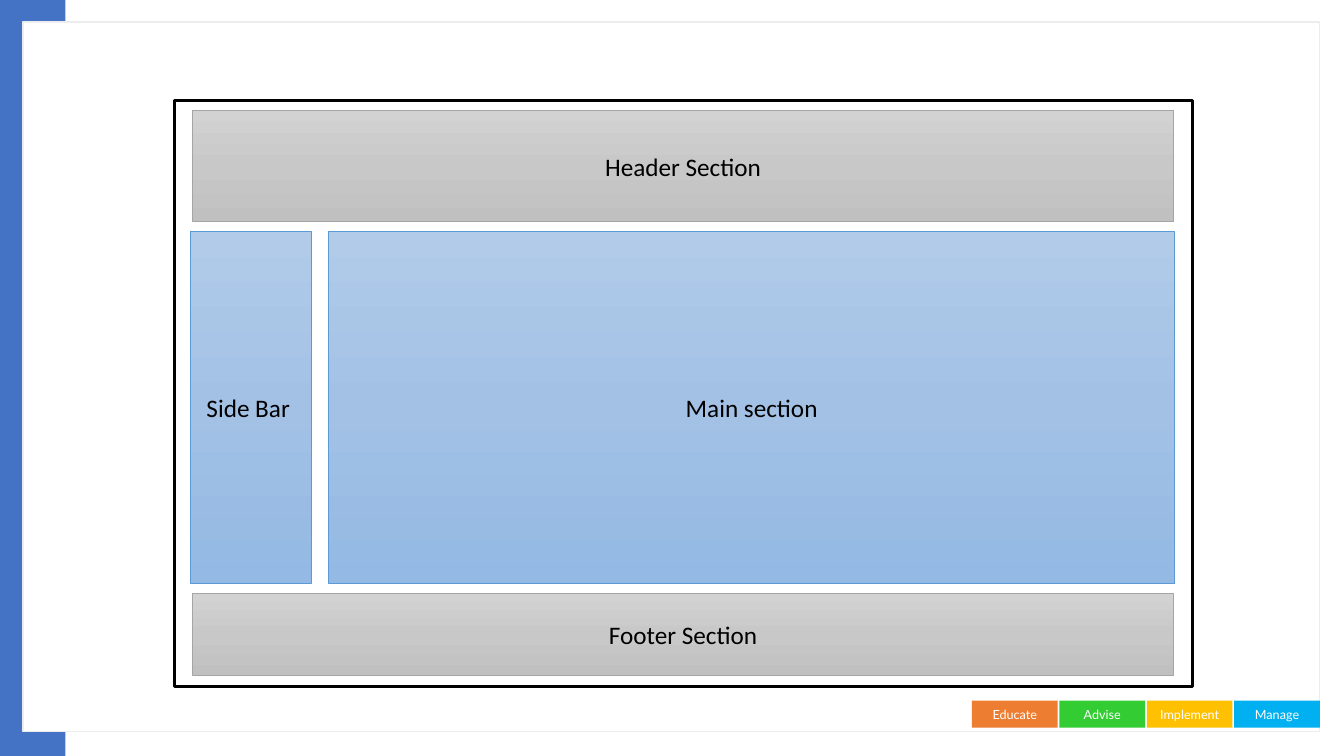
from copy import deepcopy

from pptx import Presentation
from pptx.dml.color import RGBColor
from pptx.enum import shapes, text
from pptx.oxml.ns import qn
from pptx.util import Inches, Pt

WHITE = RGBColor(0xFF, 0xFF, 0xFF)
BLACK = RGBColor(0x00, 0x00, 0x00)
BAND_BLUE = RGBColor(0x44, 0x72, 0xC4)
PANEL_EDGE = RGBColor(0xED, 0xED, 0xED)
GRAY_EDGE = RGBColor(0xA5, 0xA5, 0xA5)
BLUE_EDGE = RGBColor(0x5B, 0x9B, 0xD5)
GRAYS = (RGBColor(0xD2, 0xD2, 0xD2), RGBColor(0xC8, 0xC8, 0xC8), RGBColor(0xC0, 0xC0, 0xC0))
BLUES = (RGBColor(0xB1, 0xCB, 0xE9), RGBColor(0xA3, 0xC1, 0xE5), RGBColor(0x93, 0xB9, 0xE4))

TAGS = (
    ("Educate", RGBColor(0xED, 0x7D, 0x31)),
    ("Advise", RGBColor(0x33, 0xCC, 0x33)),
    ("Implement", RGBColor(0xFF, 0xC0, 0x00)),
    ("Manage", RGBColor(0x00, 0xB0, 0xF0)),
)
TAG_LEFT, TAG_STEP = 9.64, 0.867

SECTIONS = (
    ("Header Section", (1.91, 1.1, 9.73, 1.1), GRAYS, GRAY_EDGE),
    ("Main section", (3.26, 2.3, 8.39, 3.49), BLUES, BLUE_EDGE),
    ("Side Bar ", (1.89, 2.3, 1.2, 3.49), BLUES, BLUE_EDGE),
    ("Footer Section", (1.91, 5.89, 9.73, 0.81), GRAYS, GRAY_EDGE),
)


def add_box(parent, place, fill=WHITE, edge=None, weight=1):
    """Add a flat rectangle, with an outline if an edge colour is given."""
    box = parent.shapes.add_shape(shapes.MSO_SHAPE.RECTANGLE, *map(Inches, place))
    box.shadow.inherit = False
    box.fill.solid()
    box.fill.fore_color.rgb = fill
    if edge is None:
        box.line.fill.background()
    else:
        box.line.color.rgb = edge
        box.line.width = Pt(weight)
    return box


def add_label(box, words, size, font, color):
    """Write one centred line of text in a box."""
    frame = box.text_frame
    frame.word_wrap = True
    frame.vertical_anchor = text.MSO_ANCHOR.MIDDLE
    para = frame.paragraphs[0]
    para.alignment = text.PP_ALIGN.CENTER
    span = para.add_run()
    span.text = words
    span.font.size = Pt(size)
    span.font.name = font
    span.font.color.rgb = color


def shade(box, colors):
    """Fill a box from top to bottom with three evenly spaced colours."""
    box.fill.gradient()
    box.fill.gradient_angle = 270
    stop_list = box._element.spPr.find(qn("a:gradFill")).find(qn("a:gsLst"))
    stop_list.insert(1, deepcopy(stop_list[0]))
    for index, (stop, color) in enumerate(zip(box.fill.gradient_stops, colors)):
        stop.position = index / 2
        stop.color.rgb = color


def add_section(parent, words, place, colors, edge):
    """Add a shaded, labelled section of the page layout."""
    box = add_box(parent, place, edge=edge, weight=0.5)
    shade(box, colors)
    add_label(box, words, 18, "Calibri", BLACK)


def add_tags(page):
    """Add the row of coloured tags at the bottom right."""
    for index, (words, color) in enumerate(TAGS):
        tag = add_box(page, (TAG_LEFT + index * TAG_STEP, 6.95, 0.85, 0.27), color)
        add_label(tag, words, 9, "Lato", WHITE)


def main():
    """Build the slide and save it."""
    deck = Presentation()
    deck.slide_width, deck.slide_height = Inches(13.33), Inches(7.5)
    page = deck.slides.add_slide(deck.slide_layouts[6])
    add_box(page, (0, 0, 0.65, 7.5), BAND_BLUE)
    add_box(page, (0.23, 0.22, 12.86, 7.04), edge=PANEL_EDGE)
    add_tags(page)
    layout = page.shapes.add_group_shape()
    add_box(layout, (1.73, 1, 10.1, 5.81), edge=BLACK, weight=2.25)
    for section in SECTIONS:
        add_section(layout, *section)
    deck.save("out.pptx")


main()
